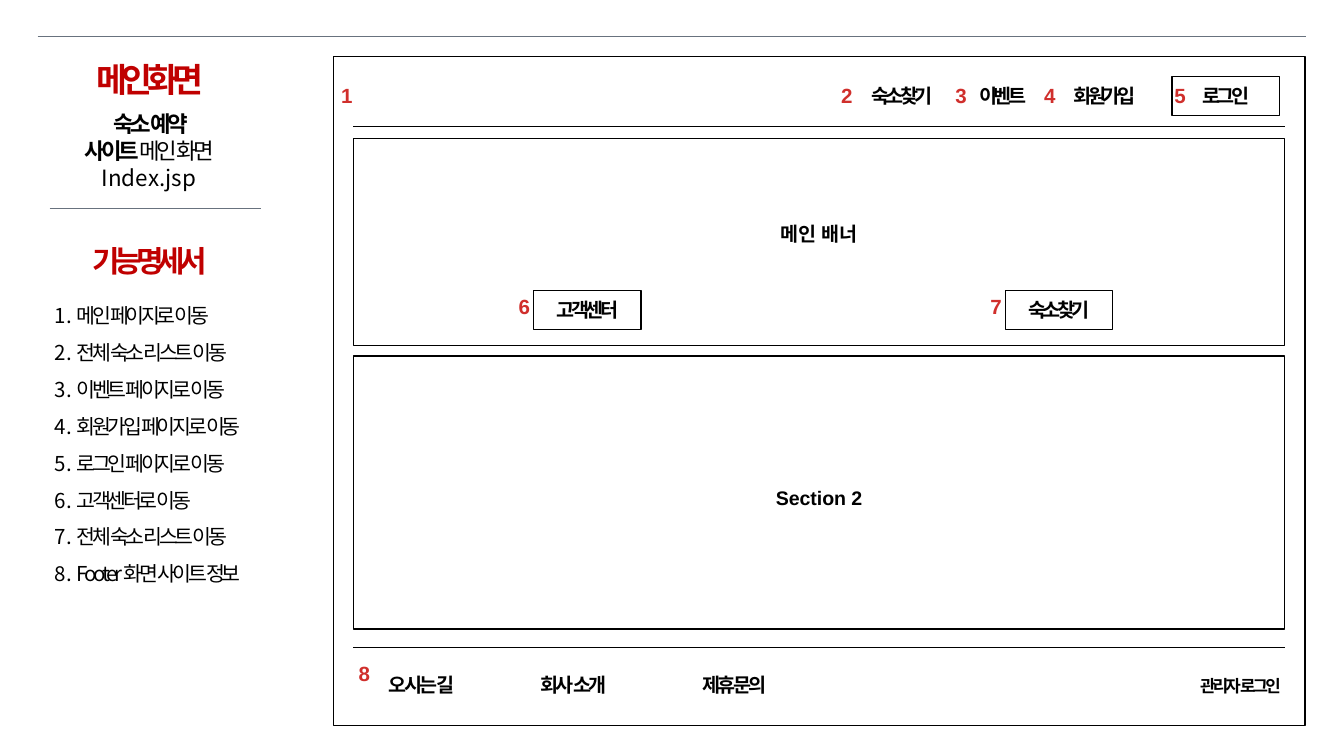
from lxml import etree
from pptx import Presentation
from pptx.dml.color import RGBColor
from pptx.enum.lang import MSO_LANGUAGE_ID
from pptx.enum.shapes import MSO_CONNECTOR, MSO_SHAPE
from pptx.enum.text import MSO_ANCHOR, MSO_AUTO_SIZE, PP_ALIGN
from pptx.oxml.ns import qn
from pptx.util import Inches, Pt

BLACK = RGBColor(0x00, 0x00, 0x00)
SLATE = RGBColor(0x68, 0x72, 0x7E)
TITLE_RED = RGBColor(0xC0, 0x00, 0x00)
MARKER_RED = RGBColor(0xD0, 0x2F, 0x2C)
LEFT, CENTER = PP_ALIGN.LEFT, PP_ALIGN.CENTER
TOP, MIDDLE = MSO_ANCHOR.TOP, MSO_ANCHOR.MIDDLE
GROW = MSO_AUTO_SIZE.SHAPE_TO_FIT_TEXT
RECTANGLE, STRAIGHT = MSO_SHAPE.RECTANGLE, MSO_CONNECTOR.STRAIGHT
LANGUAGE = MSO_LANGUAGE_ID.KOREAN
KOREAN, LATIN = "Noto Sans CJK KR", "Arial"
COLUMNS, ROWS = 1000, 562.5
WIDTH = Inches(10)
HEIGHT = WIDTH * 9 // 16
COLUMN, ROW = WIDTH / COLUMNS, HEIGHT / ROWS
TAG_WIDTH, TAG_HEIGHT = 80, 29


def place(box, left, top, width, height):
    """Return slide lengths for a grid cell measured from the box's corner."""
    return (round((box[0] + left) * COLUMN), round((box[1] + top) * ROW),
            round(width * COLUMN), round(height * ROW))


def add_span(para, text, size=10.5, font=LATIN, color=BLACK, bold=True, spacing=0):
    """Add one formatted run to a paragraph."""
    span = para.add_run()
    span.text = text
    span.font.size = Pt(size)
    span.font.bold = bold
    span.font.color.rgb = color
    span.font.name = font
    span.font.language_id = LANGUAGE
    properties = span._r.get_or_add_rPr()
    properties.set("spc", str(round(spacing * 100)))
    etree.SubElement(properties, qn("a:ea")).set("typeface", KOREAN)


def write(shape, lines, align=CENTER, anchor=MIDDLE, leading=None, wrap=True, **style):
    """Fill a shape with lines, each a list of (text, style changes) spans."""
    frame = shape.text_frame
    frame.word_wrap = wrap
    frame.auto_size = GROW
    frame.vertical_anchor = anchor
    for number, spans in enumerate(lines):
        para = frame.add_paragraph() if number else frame.paragraphs[0]
        para.alignment = align
        if leading:
            para.line_spacing = leading
        for text, changes in spans:
            add_span(para, text, **{**style, **changes})


def add_text(page, area, text, **style):
    """Add a text box holding one line."""
    write(page.shapes.add_textbox(*area), [[(text, {})]], **style)


def add_outline(page, area):
    """Add an unfilled rectangle with a thin black edge."""
    shape = page.shapes.add_shape(RECTANGLE, *area)
    shape.shadow.inherit = False
    shape.fill.background()
    shape.line.color.rgb = BLACK
    shape.line.width = Pt(0.75)
    return shape


def add_rule(page, box, left, top, width, color=BLACK, weight=0.75):
    """Add a horizontal line."""
    x, y, length, _ = place(box, left, top, width, 0)
    rule = page.shapes.add_connector(STRAIGHT, x, y, x + length, y)
    rule.line.color.rgb = color
    rule.line.width = Pt(weight)
    etree.SubElement(rule._element.spPr, qn("a:effectLst"))


def add_marker(page, box, left, top, number):
    """Add a red callout number."""
    add_text(page, place(box, left, top, 29, 29), str(number), align=LEFT,
             anchor=TOP, wrap=False, size=11, color=MARKER_RED)


def add_button(page, box, left, top, text):
    """Add an outlined button with its label."""
    button = add_outline(page, place(box, left, top, TAG_WIDTH, TAG_HEIGHT))
    write(button, [[(text, {})]], spacing=-1.8)


def build_sidebar(page, box):
    """Place the screen name, its description and the feature list."""
    heading = dict(font=KOREAN, color=TITLE_RED, spacing=-3, leading=0.9, anchor=TOP)
    body = dict(font=KOREAN, bold=False)
    add_text(page, place(box, 18, 0, 125, 37), "메인화면", size=18, **heading)
    summary = page.shapes.add_textbox(*place(box, 15, 35, 130, 50))
    write(summary, [[("숙소 예약 사이트", {"bold": True}), ("메인 화면", {})]],
          size=12, spacing=-1.8, **body)
    add_text(page, place(box, 15, 75, 130, 30), "Index.jsp", size=12, **body)
    add_rule(page, box, 6, 113, 157, SLATE, 0.25)
    add_text(page, place(box, 22, 137, 117, 34), "기능명세서", size=16, **heading)
    features = ["메인 페이지로 이동", "전체 숙소 리스트 이동", "이벤트 페이지로 이동",
                "회원가입 페이지로 이동", "로그인 페이지로 이동", "고객센터로 이동",
                "전체 숙소 리스트 이동", "Footer 화면 사이트 정보"]
    lines = [[(f"{number}. ", {}), (feature, {"spacing": -1.8})]
             for number, feature in enumerate(features, 1)]
    write(page.shapes.add_textbox(*place(box, 0, 168, 172, 232)), lines,
          align=LEFT, leading=1.5, size=11, **body)


def build_header(page, box):
    """Place the navigation labels, login button and callouts above a rule."""
    for left, text in [(368, "숙소찾기"), (443, "이벤트"), (519, "회원가입")]:
        add_text(page, place(box, left, 15, TAG_WIDTH, TAG_HEIGHT), text, spacing=-1.8)
    add_button(page, box, 609, 15, "로그인")
    for number, left in enumerate([-19, 353, 438, 504, 601], 1):
        add_marker(page, box, left, 15, number)
    add_rule(page, box, 0, box[3], box[2])


def build_panel(page, box, title, title_top, buttons=()):
    """Place an outlined panel with a centred title and numbered buttons."""
    add_outline(page, place(box, 0, 0, box[2], box[3]))
    add_text(page, place(box, (box[2] - 278) / 2, title_top, 278, 29), title)
    for number, left, text in buttons:
        add_button(page, box, left, 113, text)
        add_marker(page, box, left - 21, 111, number)


def build_footer(page, box):
    """Place the footer rule, links and callout."""
    add_rule(page, box, 0, 0, box[2])
    for left, width, text in [(3, 96, "오시는 길"), (116, 96, "회사 소개"), (229, 109, "제휴문의")]:
        add_text(page, place(box, left, 13, width, 29), text, spacing=-1.5)
    add_text(page, place(box, 612, 16, 96, 25), "관리자 로그인", size=9, spacing=-1.5)
    add_marker(page, box, -6, 5, 8)


def main():
    """Build and save the wireframe slide."""
    deck = Presentation()
    deck.slide_width, deck.slide_height = WIDTH, HEIGHT
    page = deck.slides.add_slide(deck.slide_layouts[6])
    whole = (0, 0, COLUMNS, ROWS)
    add_rule(page, whole, 28, 27, 944, SLATE, 0.25)
    add_outline(page, place(whole, 248, 42, 723, 498))
    build_sidebar(page, (31, 42, 172, 400))
    build_header(page, (263, 42, 693, 52))
    build_panel(page, (263, 103, 693, 154), "메인 배너", 56,
                [(6, 134, "고객센터"), (7, 485, "숙소찾기")])
    build_panel(page, (263, 265, 693, 203), "Section 2", 91)
    build_footer(page, (263, 482, 693, 58))
    deck.save("out.pptx")


if __name__ == "__main__":
    main()
